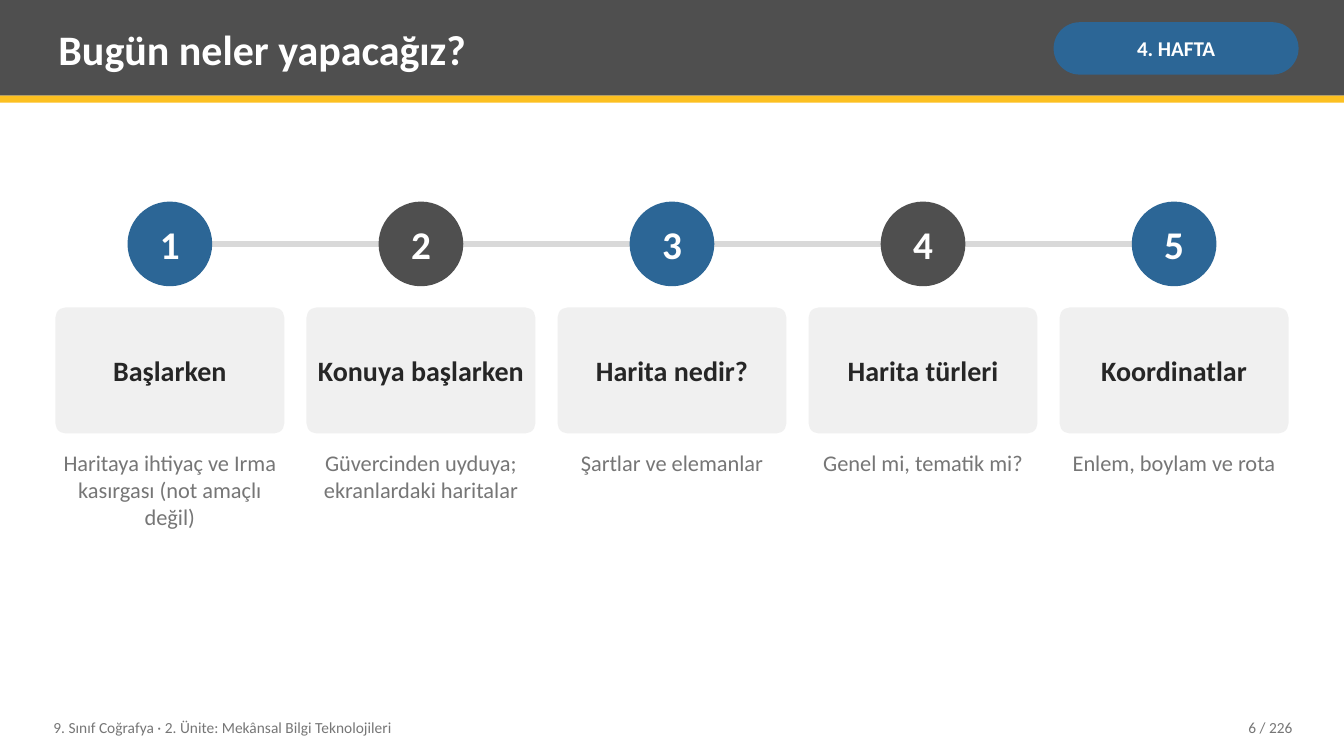
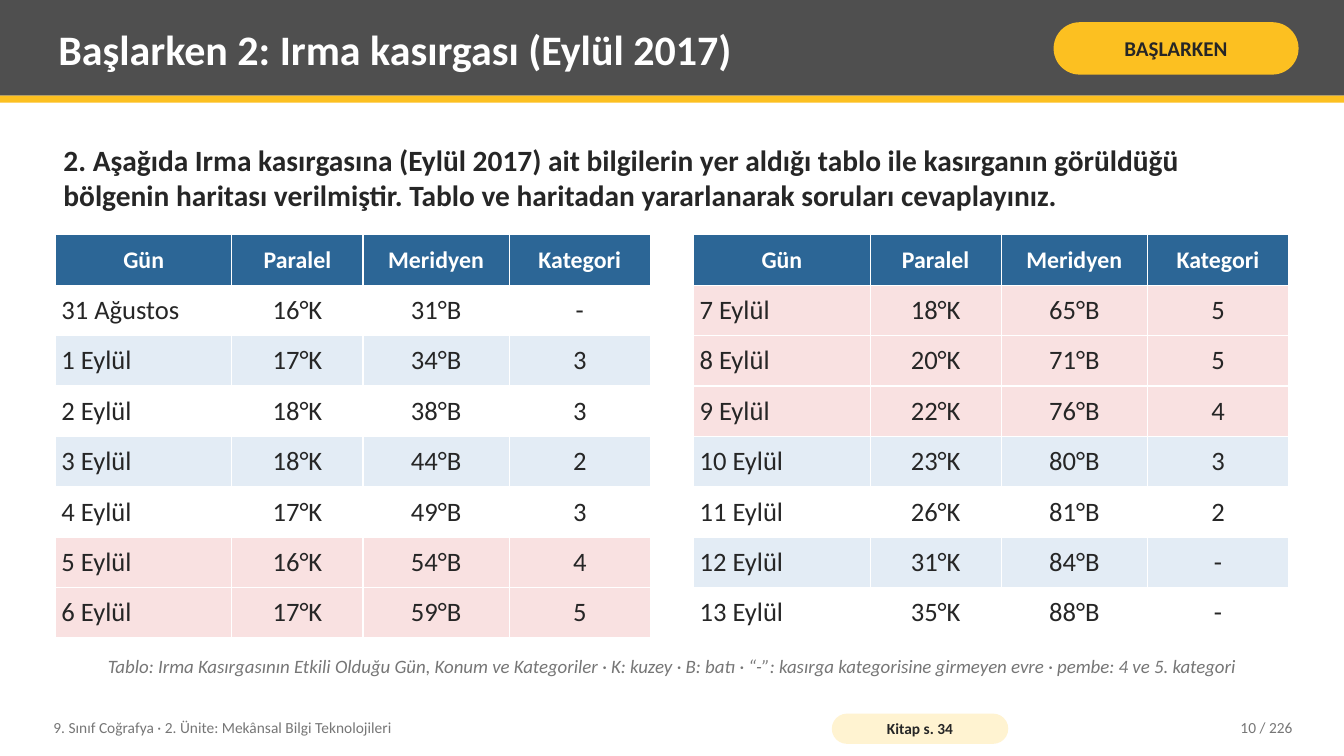
from lxml import etree
from pptx import Presentation
from pptx.dml.color import RGBColor
from pptx.enum.shapes import MSO_CONNECTOR, MSO_SHAPE
from pptx.enum.text import MSO_ANCHOR, PP_ALIGN
from pptx.oxml.ns import qn
from pptx.util import Inches, Pt

LEFT, CENTER, RIGHT = PP_ALIGN.LEFT, PP_ALIGN.CENTER, PP_ALIGN.RIGHT
TOP, MIDDLE = MSO_ANCHOR.TOP, MSO_ANCHOR.MIDDLE
RECT, ROUNDED, OVAL = MSO_SHAPE.RECTANGLE, MSO_SHAPE.ROUNDED_RECTANGLE, MSO_SHAPE.OVAL

FONT = "Calibri"
COLORS = {
    "white": "FFFFFF", "dark": "4F4F4F", "yellow": "FCC021", "blue": "2C6696",
    "ink": "262626", "muted": "767676", "line": "D9D9D9", "card": "F0F0F0",
    "band": "E3ECF5", "pink": "F9E1E1", "cream": "FFF3D1",
}

SLIDE_WIDTH, SLIDE_HEIGHT = 13.33, 7.5
MARGIN = 0.55
CONTENT_WIDTH = SLIDE_WIDTH - 2 * MARGIN
TEXT_INSETS = (0.08, 0.04)
FOOTER = "9. Sınıf Coğrafya · 2. Ünite: Mekânsal Bilgi Teknolojileri"
PAGE_TOTAL = 226

AGENDA = {"title": "Bugün neler yapacağız?", "tag": "4. HAFTA",
          "tag_fill": "blue", "tag_color": "white", "page": 6}
STEPS = [
    ("Başlarken", "Haritaya ihtiyaç ve Irma kasırgası (not amaçlı değil)"),
    ("Konuya başlarken", "Güvercinden uyduya; ekranlardaki haritalar"),
    ("Harita nedir?", "Şartlar ve elemanlar"),
    ("Harita türleri", "Genel mi, tematik mi?"),
    ("Koordinatlar", "Enlem, boylam ve rota"),
]
CARD_WIDTH, CIRCLE_SIZE, CIRCLE_TOP = 2.27, 0.84, 2.0

HURRICANE = {"title": "Başlarken 2: Irma kasırgası (Eylül 2017)", "tag": "BAŞLARKEN",
             "tag_fill": "yellow", "tag_color": "ink", "page": 10}
QUESTION = ("2. Aşağıda Irma kasırgasına (Eylül 2017) ait bilgilerin yer aldığı tablo ile "
            "kasırganın görüldüğü bölgenin haritası verilmiştir. Tablo ve haritadan "
            "yararlanarak soruları cevaplayınız.")
HEADINGS = ("Gün", "Paralel", "Meridyen", "Kategori")
DAYS = [
    ("31 Ağustos", "16°K", "31°B", "-"),
    ("1 Eylül", "17°K", "34°B", "3"),
    ("2 Eylül", "18°K", "38°B", "3"),
    ("3 Eylül", "18°K", "44°B", "2"),
    ("4 Eylül", "17°K", "49°B", "3"),
    ("5 Eylül", "16°K", "54°B", "4"),
    ("6 Eylül", "17°K", "59°B", "5"),
    ("7 Eylül", "18°K", "65°B", "5"),
    ("8 Eylül", "20°K", "71°B", "5"),
    ("9 Eylül", "22°K", "76°B", "4"),
    ("10 Eylül", "23°K", "80°B", "3"),
    ("11 Eylül", "26°K", "81°B", "2"),
    ("12 Eylül", "31°K", "84°B", "-"),
    ("13 Eylül", "35°K", "88°B", "-"),
]
SEVERE = ("4", "5")
COLUMN_WIDTHS = (1.75, 1.3, 1.45, 1.4)
ROW_HEIGHT, TABLE_TOP = 0.5, 2.33
CAPTION = ("Tablo: Irma Kasırgasının Etkili Olduğu Gün, Konum ve Kategoriler · "
           "K: kuzey · B: batı · “-”: kasırga kategorisine girmeyen evre · "
           "pembe: 4 ve 5. kategori")
BOOK_PAGE = "Kitap s. 34"


def rgb(name):
    return RGBColor.from_string(COLORS[name])


def style(para, size, color, bold=False, italic=False, align=LEFT):
    para.alignment = align
    font = para.font
    font.name, font.size, font.bold, font.italic = FONT, Pt(size), bold, italic
    font.color.rgb = rgb(color)


def write(box, text, size, color, insets=TEXT_INSETS, anchor=MIDDLE, wrap=True, **look):
    frame = box.text_frame
    frame.word_wrap = wrap
    frame.vertical_anchor = anchor
    frame.margin_left = frame.margin_right = Inches(insets[0])
    frame.margin_top = frame.margin_bottom = Inches(insets[1])
    para = frame.paragraphs[0]
    para.text = text
    style(para, size, color, **look)


def add_text(page, area, text, size, color, **look):
    box = page.shapes.add_textbox(*map(Inches, area))
    write(box, text, size, color, **look)


def add_block(page, kind, area, fill, rounding=None):
    block = page.shapes.add_shape(kind, *map(Inches, area))
    block.shadow.inherit = False
    block.fill.solid()
    block.fill.fore_color.rgb = rgb(fill)
    block.line.fill.background()
    if rounding is not None:
        block.adjustments[0] = rounding
    return block


def add_page(deck, heading):
    """Add a blank slide with the shared title band, tag and footer."""
    page = deck.slides.add_slide(deck.slide_layouts[6])
    add_block(page, RECT, (0, 0, SLIDE_WIDTH, 0.95), "dark")
    add_block(page, RECT, (0, 0.95, SLIDE_WIDTH, 0.07), "yellow")
    add_text(page, (0.5, 0.07, 9.75, 0.82), heading["title"], 30, "white", bold=True)
    tag = add_block(page, ROUNDED, (10.45, 0.22, 2.43, 0.52), heading["tag_fill"], 0.5)
    write(tag, heading["tag"], 15, heading["tag_color"], insets=(0.05, 0.02),
          bold=True, align=CENTER)
    add_text(page, (0.45, 7.04, 7.6, 0.36), FOOTER, 11, "muted")
    add_text(page, (11.3, 7.04, 1.6, 0.36), f"{heading['page']} / {PAGE_TOTAL}",
             11, "muted", align=RIGHT)
    return page


def build_agenda(deck):
    page = add_page(deck, AGENDA)
    pitch = (CONTENT_WIDTH - CARD_WIDTH) / (len(STEPS) - 1)
    first_center = MARGIN + CARD_WIDTH / 2
    line_y = Inches(CIRCLE_TOP + CIRCLE_SIZE / 2)
    line = page.shapes.add_connector(
        MSO_CONNECTOR.STRAIGHT, Inches(first_center), line_y,
        Inches(SLIDE_WIDTH - first_center), line_y)
    line.line.color.rgb = rgb("line")
    line.line.width = Pt(4)
    etree.SubElement(line._element.spPr, qn("a:effectLst"))

    for index, (name, detail) in enumerate(STEPS):
        left = MARGIN + index * pitch
        circle_left = left + (CARD_WIDTH - CIRCLE_SIZE) / 2
        circle = add_block(page, OVAL, (circle_left, CIRCLE_TOP, CIRCLE_SIZE, CIRCLE_SIZE),
                           ("blue", "dark")[index % 2])
        write(circle, str(index + 1), 28, "white", insets=(0, 0), wrap=False,
              bold=True, align=CENTER)
        card = add_block(page, ROUNDED, (left, 3.05, CARD_WIDTH, 1.25), "card", 0.08)
        write(card, name, 20, "ink", insets=(0.08, 0.08), bold=True, align=CENTER)
        add_text(page, (left, 4.42, CARD_WIDTH, 1.9), detail, 16, "muted",
                 anchor=TOP, align=CENTER)


def fill_cell(cell, text, fill, size, color, **look):
    cell.vertical_anchor = MIDDLE
    cell.margin_left = cell.margin_right = Inches(0.06)
    cell.margin_top = cell.margin_bottom = Inches(0.05)
    properties = cell._tc.get_or_add_tcPr()
    for side in ("a:lnL", "a:lnR", "a:lnT", "a:lnB"):
        border = etree.SubElement(properties, qn(side), w=str(Pt(0.96)))
        solid = etree.SubElement(border, qn("a:solidFill"))
        etree.SubElement(solid, qn("a:srgbClr"), val=COLORS["white"])
    cell.fill.solid()
    cell.fill.fore_color.rgb = rgb(fill)
    para = cell.text_frame.paragraphs[0]
    para.text = text
    style(para, size, color, **look)


def add_day_table(page, left, days):
    frame = page.shapes.add_table(
        len(days) + 1, len(HEADINGS), Inches(left), Inches(TABLE_TOP),
        Inches(sum(COLUMN_WIDTHS)), Inches(ROW_HEIGHT * (len(days) + 1)))
    table = frame.table
    table.horz_banding = False
    for column, width in zip(table.columns, COLUMN_WIDTHS):
        column.width = Inches(width)
    for row in table.rows:
        row.height = Inches(ROW_HEIGHT)
    for column, text in enumerate(HEADINGS):
        fill_cell(table.cell(0, column), text, "blue", 17, "white", bold=True, align=CENTER)
    for row, day in enumerate(days, start=1):
        fill = "pink" if day[-1] in SEVERE else ("band", "white")[row % 2]
        for column, text in enumerate(day):
            fill_cell(table.cell(row, column), text, fill, 19, "ink",
                      align=CENTER if column else LEFT)


def build_hurricane(deck):
    page = add_page(deck, HURRICANE)
    add_text(page, (MARGIN, 1.28, CONTENT_WIDTH, 0.95), QUESTION, 21, "ink", bold=True)
    half = len(DAYS) // 2
    add_day_table(page, MARGIN, DAYS[:half])
    add_day_table(page, SLIDE_WIDTH - MARGIN - sum(COLUMN_WIDTHS), DAYS[half:])
    add_text(page, (MARGIN, 6.38, CONTENT_WIDTH, 0.45), CAPTION, 13.5, "muted",
             italic=True, align=CENTER)
    badge = add_block(page, ROUNDED, (8.25, 7.08, 1.75, 0.3), "cream", 0.5)
    write(badge, BOOK_PAGE, 11, "ink", insets=(0.04, 0), bold=True, align=CENTER)


def main():
    deck = Presentation()
    deck.slide_width, deck.slide_height = Inches(SLIDE_WIDTH), Inches(SLIDE_HEIGHT)
    build_agenda(deck)
    build_hurricane(deck)
    deck.save("out.pptx")


if __name__ == "__main__":
    main()
